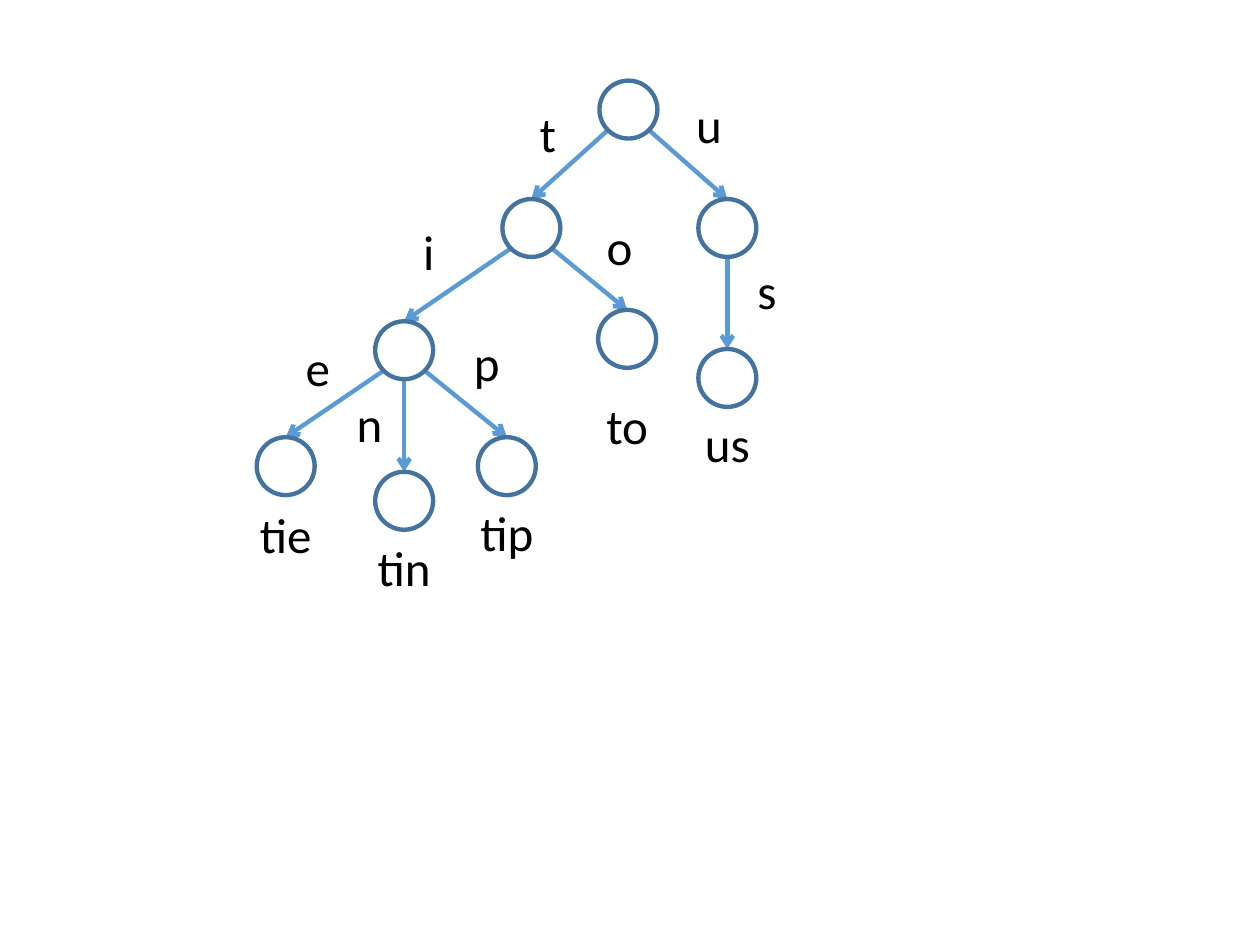
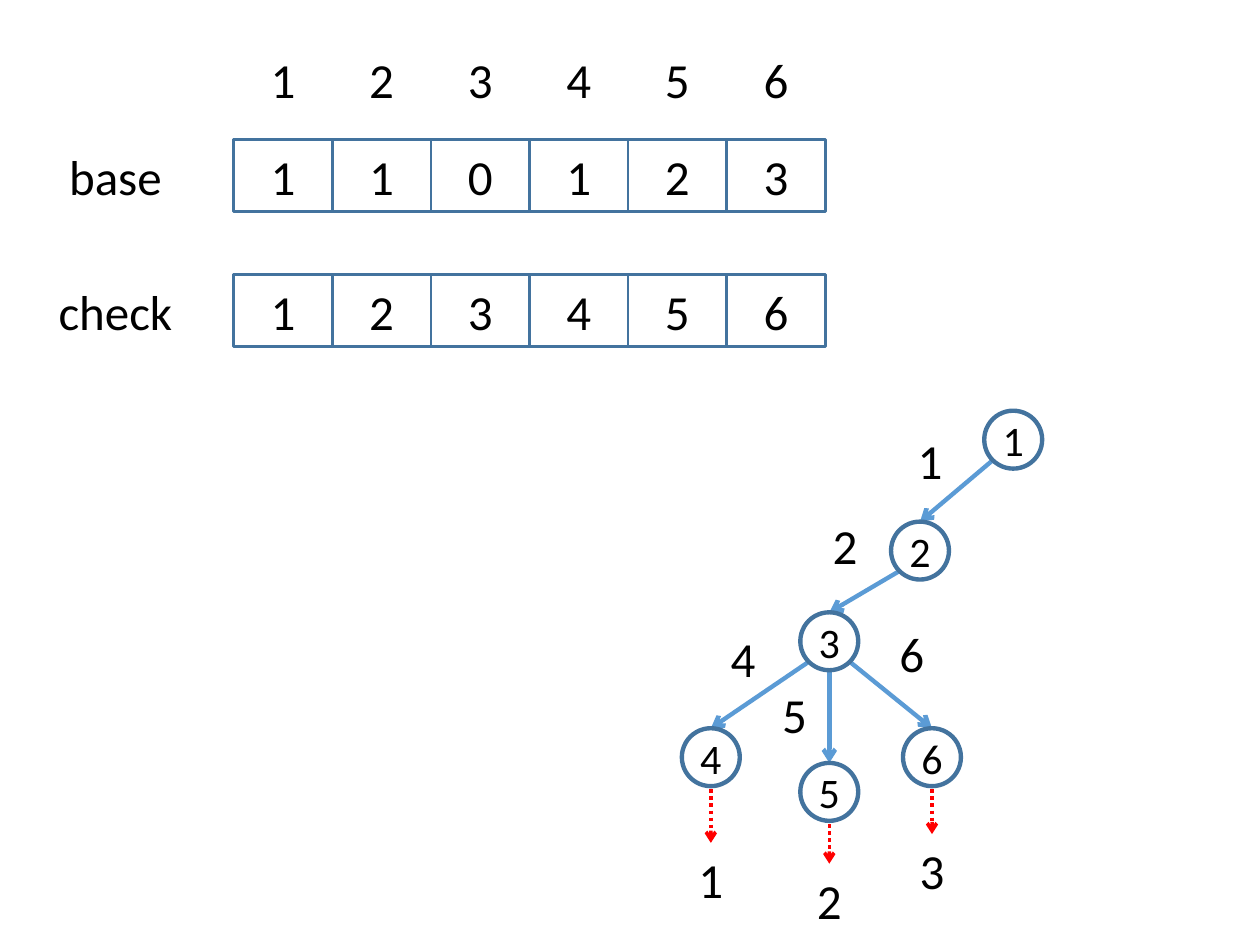
from dataclasses import dataclass

from lxml.etree import SubElement
from pptx import Presentation
from pptx.dml.color import RGBColor
from pptx.enum.dml import MSO_LINE
from pptx.enum.shapes import MSO_CONNECTOR, MSO_SHAPE
from pptx.enum.text import MSO_ANCHOR, PP_ALIGN
from pptx.oxml.ns import qn
from pptx.util import Inches, Pt

COLUMNS = 100
SLIDE_WIDTH, SLIDE_HEIGHT = Inches(10), Inches(7.5)
UNIT = SLIDE_WIDTH / COLUMNS

FONT = "Calibri"
INK, OUTLINE, EDGE, RESULT = "000000", "43739E", "5B9BD5", "FF0000"
LABEL_SIZE, NODE_SIZE = 28, 24
RADIUS = 2.3
DIAGONAL = 1.6
LABEL_WIDTH, LABEL_HEIGHT = 6.4, 5.7
FAN = (
    ((-9.4, 9.2), (-6.85, 1.35)),
    ((0, 11.95), (-2.75, 5.75)),
    ((8.15, 9.2), (6.55, 0.95)),
)


@dataclass
class Box:
    """A region in grid columns and rows."""
    left: float
    top: float
    width: float
    height: float


@dataclass
class Branch:
    """A child node, placed relative to its parent, with its edge label."""
    parent: str
    name: str
    label: str
    step: tuple
    label_offset: tuple
    result: str = ""
    result_drop: float = 0


def grid(*lengths):
    """Turn grid units into slide lengths."""
    return [round(length * UNIT) for length in lengths]


def color(hex_string):
    """Turn a hex string into a colour."""
    return RGBColor.from_string(hex_string)


def write(shape, words, size):
    """Put centred text in a shape."""
    frame = shape.text_frame
    frame.margin_left = frame.margin_right = frame.margin_top = frame.margin_bottom = 0
    frame.word_wrap = True
    frame.vertical_anchor = MSO_ANCHOR.MIDDLE
    frame.text = words
    paragraph = frame.paragraphs[0]
    paragraph.alignment = PP_ALIGN.CENTER
    for run in paragraph.runs:
        run.font.name = FONT
        run.font.size = Pt(size)
        run.font.color.rgb = color(INK)


def add_label(slide, words, x, y, width=LABEL_WIDTH):
    """Write a label centred on a grid point."""
    label = slide.shapes.add_textbox(
        *grid(x - width / 2, y - LABEL_HEIGHT / 2, width, LABEL_HEIGHT))
    write(label, words, LABEL_SIZE)


def add_outline(slide, kind, box, weight, words, size):
    """Draw an unfilled outline with text inside."""
    outline = slide.shapes.add_shape(kind, *grid(box.left, box.top, box.width, box.height))
    outline.shadow.inherit = False
    outline.fill.background()
    outline.line.color.rgb = color(OUTLINE)
    outline.line.width = Pt(weight)
    if words:
        write(outline, words, size)


def add_arrow(slide, start, end, hex_string, weight, dash=None):
    """Draw an arrow between two grid points."""
    arrow = slide.shapes.add_connector(MSO_CONNECTOR.STRAIGHT, *grid(*start, *end))
    arrow.line.color.rgb = color(hex_string)
    arrow.line.width = Pt(weight)
    if dash:
        arrow.line.dash_style = dash
    SubElement(arrow.line._get_or_add_ln(), qn("a:tailEnd"), type="arrow")
    SubElement(arrow._element.spPr, qn("a:effectLst"))


def fan(parent, names, labels, results, drops):
    """Spread three leaves below a parent."""
    return [
        Branch(parent, name, label, step, offset, result, drop)
        for name, label, (step, offset), result, drop
        in zip(names, labels, FAN, results, drops)
    ]


def add_node(slide, center, words):
    """Draw a round tree node."""
    x, y = center
    bounds = Box(x - RADIUS, y - RADIUS, 2 * RADIUS, 2 * RADIUS)
    add_outline(slide, MSO_SHAPE.OVAL, bounds, 2.5, words, NODE_SIZE)


def add_edge(slide, parent, child):
    """Link the lower rim of a parent to the top of its child."""
    (x, y), (child_x, child_y) = parent, child
    side = (child_x > x) - (child_x < x)
    start = (x + side * DIAGONAL, y + (DIAGONAL if side else RADIUS))
    add_arrow(slide, start, (child_x, child_y - RADIUS), EDGE, 2.5)


def draw_tree(slide, box, root, root_share, branches, numbered=False):
    """Draw a trie whose root sits at a share of the box width."""
    centers = {root: (box.left + box.width * root_share, box.top + RADIUS)}
    for branch in branches:
        x, y = centers[branch.parent]
        center = (x + branch.step[0], y + branch.step[1])
        centers[branch.name] = center
        add_edge(slide, (x, y), center)
        add_label(slide, branch.label, x + branch.label_offset[0], y + branch.label_offset[1])
        if branch.result:
            result_y = center[1] + branch.result_drop
            add_label(slide, branch.result, center[0], result_y)
            if numbered:
                add_arrow(slide, (center[0], center[1] + RADIUS + 0.25),
                          (center[0], result_y - LABEL_HEIGHT / 2), RESULT, 2, MSO_LINE.ROUND_DOT)
    for name, center in centers.items():
        add_node(slide, center, name if numbered else "")


def draw_arrays(slide, box, indexes, arrays):
    """Draw named arrays under a row of indexes."""
    name_width, cells_left = box.width * 0.2, box.left + box.width * 0.25
    cell_width = box.width * 0.75 / len(indexes)
    pitch = 10.7
    first_top = box.top + box.height - LABEL_HEIGHT - pitch * (len(arrays) - 1)
    for column, index in enumerate(indexes):
        add_label(slide, index, cells_left + (column + 0.5) * cell_width,
                  box.top + LABEL_HEIGHT / 2)
    for row, (name, values) in enumerate(arrays.items()):
        top = first_top + row * pitch
        add_label(slide, name, box.left + name_width / 2, top + LABEL_HEIGHT / 2, name_width)
        for column, value in enumerate(values):
            cell = Box(cells_left + column * cell_width, top, cell_width, LABEL_HEIGHT)
            add_outline(slide, MSO_SHAPE.RECTANGLE, cell, 1.5, value, LABEL_SIZE)


def word_trie_slide(slide):
    """Show the trie of five words."""
    words = ("tie", "tin", "tip")
    branches = [
        Branch("root", "t", "t", (-7.7, 9.4), (-6.4, 1.85)),
        Branch("root", "u", "u", (7.85, 9.4), (6.4, 1.15)),
        Branch("t", "ti", "i", (-10.1, 9.7), (-8.15, 1.85)),
        Branch("t", "to", "o", (7.6, 8.8), (7, 1.45), "to", 6.85),
        Branch("u", "us", "s", (0, 11.9), (3.15, 4.95), "us", 5.15),
        *fan("ti", words, "enp", words, (5.35, 5.25, 5.25)),
    ]
    draw_tree(slide, Box(20.5, 6.4, 39.7, 41.4), "root", 0.74, branches)


def double_array_slide(slide):
    """Show the base and check arrays with their numbered trie."""
    draw_arrays(slide, Box(2.9, 3.4, 62.6, 24.1), "123456",
                {"base": "110123", "check": "123456"})
    branches = [
        Branch("1", "2", "1", (-7.4, 8.8), (-6.6, 1.6)),
        Branch("2", "3", "2", (-7.2, 7.2), (-5.95, -0.45)),
        *fan("3", "456", "456", "123", (9.65, 8.55, 8.95)),
    ]
    draw_tree(slide, Box(54.2, 32.6, 28.5, 41.7), "1", 0.92, branches, numbered=True)


def main():
    """Build the deck."""
    deck = Presentation()
    deck.slide_width, deck.slide_height = SLIDE_WIDTH, SLIDE_HEIGHT
    blank = deck.slide_layouts[6]
    for build in (word_trie_slide, double_array_slide):
        build(deck.slides.add_slide(blank))
    deck.save("out.pptx")


if __name__ == "__main__":
    main()
